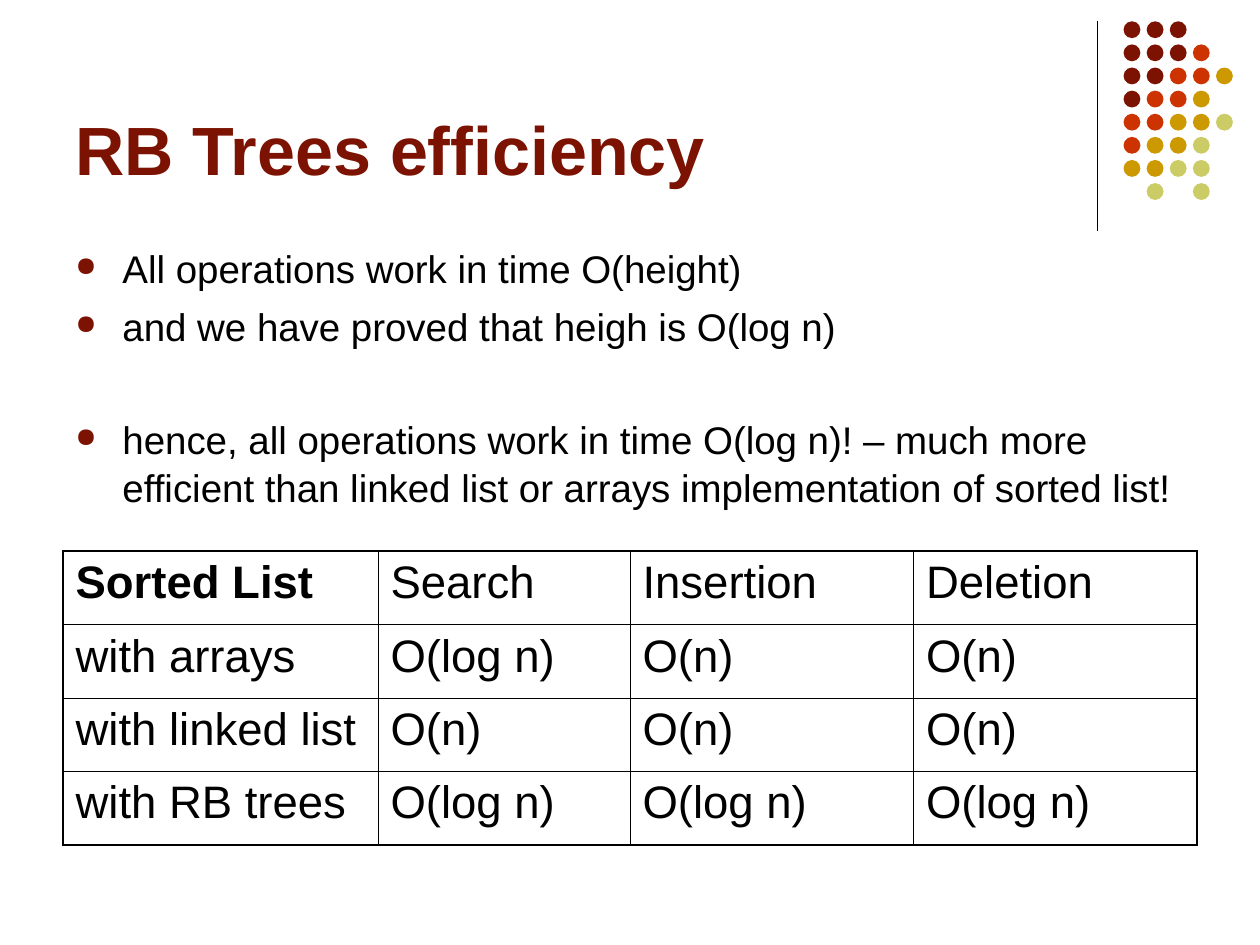
from lxml.etree import SubElement
from pptx import Presentation
from pptx.dml.color import RGBColor
from pptx.enum.shapes import MSO_CONNECTOR, MSO_SHAPE
from pptx.enum.text import MSO_ANCHOR
from pptx.oxml.ns import qn
from pptx.util import Cm, Pt

# Content
TITLE = "RB Trees efficiency"
BULLETS = [  # text, space before in points
    ("All operations work in time O(height)", 0),
    ("and we have proved that heigh is O(log n)", 5.5),
    ("hence, all operations work in time O(log n)! – much more efficient "
     "than linked list or arrays implementation of sorted list!", 37.4),
]
TABLE = [
    ["Sorted List", "Search", "Insertion", "Deletion"],
    ["with arrays", "O(log n)", "O(n)", "O(n)"],
    ["with linked list", "O(n)", "O(n)", "O(n)"],
    ["with RB trees", "O(log n)", "O(log n)", "O(log n)"],
]
# One letter per dot, a space for a gap
DOTS = ["mmm", "mmmr", "mmrro", "mrro", "rroog", "roog", "oogg", " g g"]

# Formats
COLORS = {"text": "000000", "m": "7C1302", "r": "CC3300", "o": "CC9900", "g": "CCCC66"}
TITLE_FONT = {"name": "Arial", "size": Pt(39), "bold": True}
BODY_FONT = {"name": "Arial", "size": Pt(22), "bold": False}
CELL_FONT = {"name": "Arial", "size": Pt(26), "bold": False}
HEADING_FONT = {**CELL_FONT, "bold": True}

# Layout in centimetres
DOT_LEFT, DOT_TOP, DOT_PITCH, DOT_SIZE = 22.65, 0.43, 0.466, 0.34
COLUMN_WIDTHS = [6.35, 5.08, 5.715, 5.715]
ROW_HEIGHT = 1.48
OUTER_LINE, INNER_LINE = Pt(1.08), Pt(0.45)


def color(name):
    return RGBColor.from_string(COLORS[name])


def format_text(paragraph, text, font, color_name):
    run = paragraph.add_run()
    run.text = text
    for attribute, value in font.items():
        setattr(run.font, attribute, value)
    run.font.color.rgb = color(color_name)


def add_text_frame(slide, left, top, width, height, anchor):
    box = slide.shapes.add_textbox(Cm(left), Cm(top), Cm(width), Cm(height))
    box.text_frame.word_wrap = True
    box.text_frame.vertical_anchor = anchor
    return box.text_frame


def add_bullet(paragraph):
    properties = paragraph._p.get_or_add_pPr()
    properties.set("marL", str(Cm(0.95)))
    properties.set("indent", str(-Cm(0.95)))
    bullet_color = SubElement(properties, qn("a:buClr"))
    SubElement(bullet_color, qn("a:srgbClr"), val=COLORS["m"])
    SubElement(properties, qn("a:buSzPct"), val="70000")
    SubElement(properties, qn("a:buChar"), char="●")


def add_border(cell, side, width):
    properties = cell._tc.get_or_add_tcPr()
    line = SubElement(properties, qn(f"a:ln{side}"), w=str(width))
    fill = SubElement(line, qn("a:solidFill"))
    SubElement(fill, qn("a:srgbClr"), val=COLORS["text"])


def add_decoration(slide):
    line = slide.shapes.add_connector(
        MSO_CONNECTOR.STRAIGHT, Cm(22.12), Cm(0.43), Cm(22.12), Cm(4.65))
    line.line.color.rgb = color("text")
    line.line.width = Pt(0.75)
    SubElement(line._element.spPr, qn("a:effectLst"))

    for row, letters in enumerate(DOTS):
        for column, letter in enumerate(letters):
            if letter == " ":
                continue
            dot = slide.shapes.add_shape(
                MSO_SHAPE.OVAL,
                Cm(DOT_LEFT + column * DOT_PITCH), Cm(DOT_TOP + row * DOT_PITCH),
                Cm(DOT_SIZE), Cm(DOT_SIZE))
            dot.shadow.inherit = False
            dot.fill.solid()
            dot.fill.fore_color.rgb = color(letter)
            dot.line.fill.background()


def add_efficiency_table(slide):
    last_row, last_column = len(TABLE) - 1, len(COLUMN_WIDTHS) - 1
    table = slide.shapes.add_table(
        len(TABLE), len(COLUMN_WIDTHS), Cm(1.27), Cm(11.11),
        Cm(sum(COLUMN_WIDTHS)), Cm(ROW_HEIGHT * len(TABLE))).table
    table.first_row = table.horz_banding = False
    for column, width in zip(table.columns, COLUMN_WIDTHS):
        column.width = Cm(width)

    for r, texts in enumerate(TABLE):
        table.rows[r].height = Cm(ROW_HEIGHT)
        for c, text in enumerate(texts):
            cell = table.cell(r, c)
            font = HEADING_FONT if r == c == 0 else CELL_FONT
            format_text(cell.text_frame.paragraphs[0], text, font, "text")
            outer_sides = {"L": c == 0, "R": c == last_column,
                           "T": r == 0, "B": r == last_row}
            for side, is_outer in outer_sides.items():
                add_border(cell, side, OUTER_LINE if is_outer else INNER_LINE)
            cell.fill.background()


def main():
    presentation = Presentation()
    presentation.slide_width, presentation.slide_height = Cm(25.4), Cm(19.05)
    slide = presentation.slides.add_slide(presentation.slide_layouts[6])

    add_decoration(slide)

    # Title
    frame = add_text_frame(slide, 1.27, 0.33, 20.96, 3.61, MSO_ANCHOR.BOTTOM)
    format_text(frame.paragraphs[0], TITLE, TITLE_FONT, "m")

    # Bullet list
    frame = add_text_frame(slide, 1.27, 4.78, 22.86, 5.92, MSO_ANCHOR.TOP)
    for index, (text, space_before) in enumerate(BULLETS):
        paragraph = frame.add_paragraph() if index else frame.paragraphs[0]
        add_bullet(paragraph)
        paragraph.line_spacing = 1.04
        if space_before:
            paragraph.space_before = Pt(space_before)
        format_text(paragraph, text, BODY_FONT, "text")

    add_efficiency_table(slide)
    presentation.save("out.pptx")


if __name__ == "__main__":
    main()
